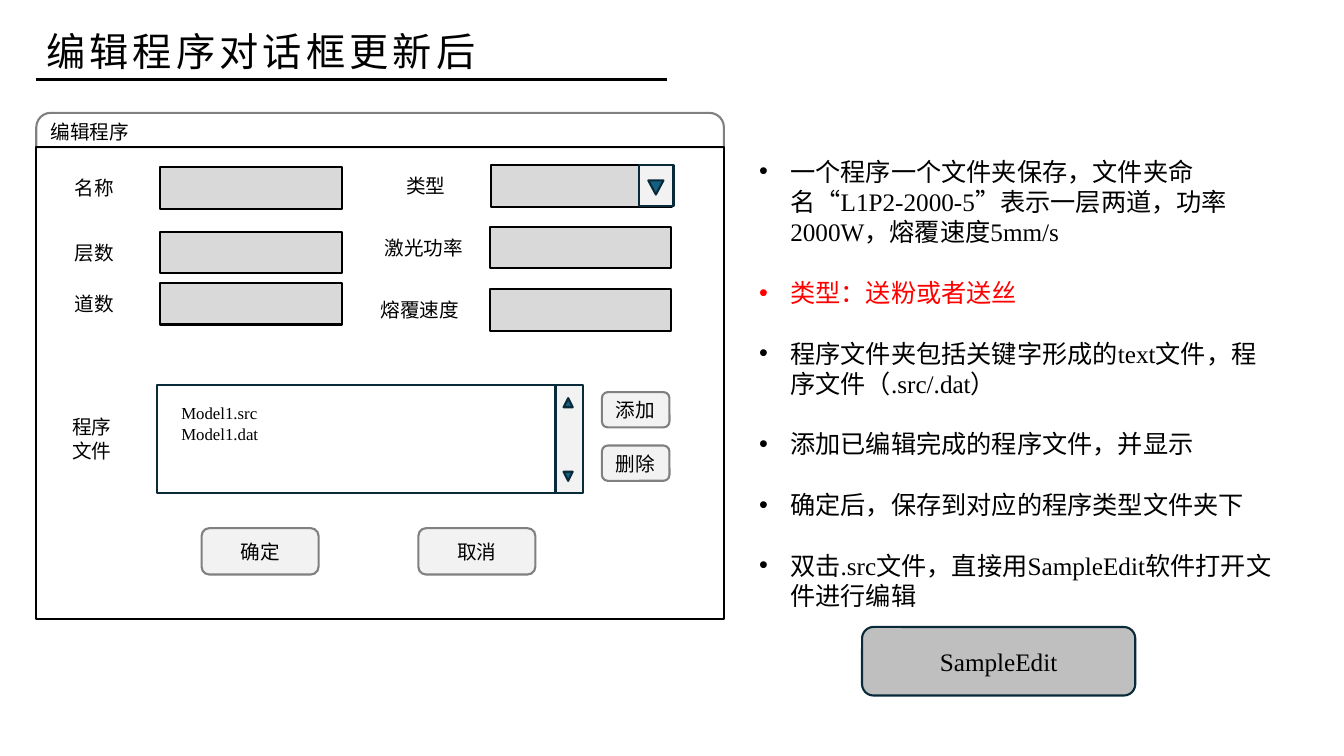
"""Build the slide on the updated program editing dialog."""
from dataclasses import dataclass
from typing import Optional

import pptx
import pptx.dml.color
import pptx.enum.lang
import pptx.enum.shapes
import pptx.enum.text
import pptx.oxml
import pptx.oxml.ns
import pptx.util
from pptx.util import Inches

RGBColor = pptx.dml.color.RGBColor
Kind = pptx.enum.shapes.MSO_SHAPE
Align = pptx.enum.text.PP_ALIGN
Anchor = pptx.enum.text.MSO_ANCHOR

BLACK = RGBColor(0x00, 0x00, 0x00)
WHITE = RGBColor(0xFF, 0xFF, 0xFF)
RED = RGBColor(0xFF, 0x00, 0x00)
GRAY = RGBColor(0x80, 0x80, 0x80)
PALE = RGBColor(0xF2, 0xF2, 0xF2)
LIGHT = RGBColor(0xD9, 0xD9, 0xD9)
SILVER = RGBColor(0xBF, 0xBF, 0xBF)
NAVY = RGBColor(0x09, 0x2A, 0x39)
TEAL = RGBColor(0x15, 0x60, 0x82)
FACE = "Times New Roman"


@dataclass
class Box:
    left: float
    top: float
    width: float
    height: float


@dataclass
class Field:
    name: str
    label: float
    left: float
    top: float


@dataclass
class Button:
    name: str
    box: Box
    fill: RGBColor = PALE
    line: RGBColor = GRAY
    size: int = 14


@dataclass
class Arrow:
    box: Box
    down: bool


@dataclass
class Note:
    text: str
    color: RGBColor = BLACK


FIELDS = [
    Field("名称", 0.41, 1.59, 1.66),
    Field("层数", 0.41, 1.59, 2.3),
    Field("道数", 0.41, 1.59, 2.81),
    Field("类型", 3.7, 4.87, 1.64),
    Field("激光功率", 3.68, 4.86, 2.25),
    Field("熔覆速度", 3.64, 4.86, 2.87),
]
BUTTONS = [
    Button("确定", Box(2, 5.24, 1.16, 0.46)),
    Button("取消", Box(4.15, 5.24, 1.16, 0.46)),
    Button("添加", Box(5.97, 3.89, 0.67, 0.35)),
    Button("删除", Box(5.97, 4.42, 0.67, 0.35)),
    Button("SampleEdit", Box(8.55, 6.22, 2.71, 0.68), SILVER, NAVY, 18),
]
BARS = [Box(5.51, 3.82, 0.27, 1.07), Box(6.34, 1.64, 0.34, 0.4)]
ARROWS = [
    Arrow(Box(5.59, 3.95, 0.09, 0.09), False),
    Arrow(Box(5.59, 4.68, 0.09, 0.09), True),
    Arrow(Box(6.43, 1.79, 0.15, 0.14), True),
]
NOTES = [
    Note("一个程序一个文件夹保存，文件夹命名“L1P2-2000-5”表示一层两道，功率2000W，熔覆速度5mm/s"),
    Note("类型：送粉或者送丝", RED),
    Note("程序文件夹包括关键字形成的text文件，程序文件（.src/.dat）"),
    Note("添加已编辑完成的程序文件，并显示"),
    Note("确定后，保存到对应的程序类型文件夹下"),
    Note("双击.src文件，直接用SampleEdit软件打开文件进行编辑"),
]


def place(box: Box) -> tuple:
    return tuple(map(Inches, (box.left, box.top, box.width, box.height)))


def style(para, size: int, color: RGBColor = BLACK) -> None:
    for run in para.runs:
        font = run.font
        font.name = FACE
        font.size = pptx.util.Pt(size)
        font.color.rgb = color
        font.language_id = pptx.enum.lang.MSO_LANGUAGE_ID.SIMPLIFIED_CHINESE


def write(frame, text: str, size: int, align=Align.LEFT, wrap: bool = True) -> None:
    frame.text = text
    frame.word_wrap = wrap
    for para in frame.paragraphs:
        para.alignment = align
        style(para, size)


def draw(slide, kind, box: Box, fill: Optional[RGBColor], line: RGBColor):
    shape = slide.shapes.add_shape(kind, *place(box))
    shape.shadow.inherit = False
    if fill is None:
        shape.fill.background()
    else:
        shape.fill.solid()
        shape.fill.fore_color.rgb = fill
    shape.line.color.rgb = line
    shape.line.width = pptx.util.Pt(1.5)
    return shape


def label(slide, box: Box, text: str) -> None:
    frame = slide.shapes.add_textbox(*place(box)).text_frame
    frame.vertical_anchor = Anchor.MIDDLE
    write(frame, text, 14, Align.CENTER)


def head(slide) -> None:
    title = slide.shapes.add_textbox(*place(Box(0.36, 0.22, 4.55, 0.57)))
    write(title.text_frame, "编辑程序对话框更新后", 28, wrap=False)
    title.text_frame.paragraphs[0].runs[0]._r.get_or_add_rPr().set("spc", "300")
    rule = slide.shapes.add_connector(
        pptx.enum.shapes.MSO_CONNECTOR.STRAIGHT,
        Inches(0.36), Inches(0.79), Inches(6.62), Inches(0.79))
    rule.line.color.rgb = BLACK
    rule.line.width = pptx.util.Pt(2.25)
    rule._element.spPr.append(pptx.oxml.parse_xml(
        f"<a:effectLst {pptx.oxml.ns.nsdecls('a')}/>"))


def dialog(slide) -> None:
    bar = draw(slide, Kind.ROUND_2_SAME_RECTANGLE, Box(0.36, 1.12, 6.82, 0.34), WHITE, GRAY)
    bar.adjustments[0] = 0.42
    bar.text_frame.vertical_anchor = Anchor.MIDDLE
    write(bar.text_frame, "编辑程序", 14)
    draw(slide, Kind.RECTANGLE, Box(0.36, 1.46, 6.82, 4.68), None, BLACK)
    draw(slide, Kind.RECTANGLE, Box(1.56, 3.82, 4.21, 1.07), None, NAVY)
    files = slide.shapes.add_textbox(*place(Box(1.7, 3.95, 1.15, 0.5)))
    write(files.text_frame, "Model1.src\nModel1.dat", 12)
    label(slide, Box(0.57, 4.11, 0.68, 0.48), "程序文件")
    for field in FIELDS:
        label(slide, Box(field.label, field.top, 1.05, 0.41), field.name)
        draw(slide, Kind.RECTANGLE, Box(field.left, field.top, 1.8, 0.41), LIGHT, BLACK)
    for box in BARS:
        draw(slide, Kind.RECTANGLE, box, PALE, NAVY)
    for arrow in ARROWS:
        shape = draw(slide, Kind.ISOSCELES_TRIANGLE, arrow.box, TEAL, NAVY)
        shape.rotation = 180 if arrow.down else 0


def press(slide, button: Button) -> None:
    shape = draw(slide, Kind.ROUNDED_RECTANGLE, button.box, button.fill, button.line)
    shape.text_frame.vertical_anchor = Anchor.MIDDLE
    write(shape.text_frame, button.name, button.size, Align.CENTER)


def remark(slide) -> None:
    frame = slide.shapes.add_textbox(*place(Box(7.43, 1.5, 5.37, 4.64))).text_frame
    write(frame, "\n".join(note.text for note in NOTES), 18)
    for rank, (para, note) in enumerate(zip(frame.paragraphs, NOTES)):
        props = para._p.get_or_add_pPr()
        props.set("marL", str(Inches(0.31)))
        props.set("indent", str(Inches(-0.31)))
        if rank:
            para.space_before = pptx.util.Pt(21.7)
        for tag in ('buFont typeface="Arial"', 'buChar char="•"'):
            props.append(pptx.oxml.parse_xml(f"<a:{tag} {pptx.oxml.ns.nsdecls('a')}/>"))
        style(para, 18, note.color)


def main() -> None:
    deck = pptx.Presentation()
    deck.slide_width, deck.slide_height = Inches(13.33), Inches(7.5)
    slide = deck.slides.add_slide(deck.slide_layouts[6])
    head(slide)
    dialog(slide)
    for button in BUTTONS:
        press(slide, button)
    remark(slide)
    deck.save("out.pptx")


if __name__ == "__main__":
    main()
